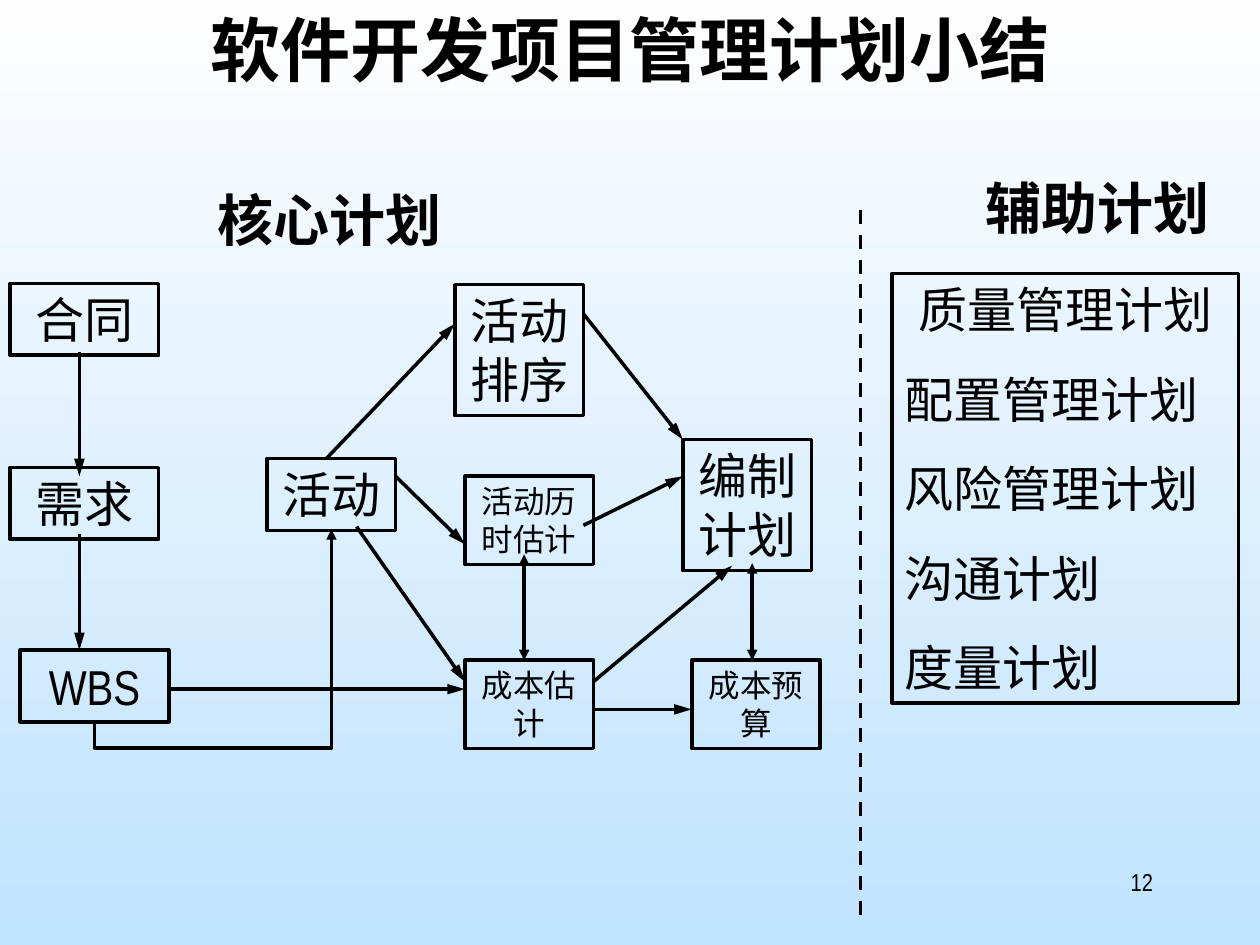
from dataclasses import dataclass

from lxml import etree
from pptx import Presentation
from pptx.dml.color import RGBColor
from pptx.enum.dml import MSO_LINE_DASH_STYLE as DASH
from pptx.enum.shapes import MSO_CONNECTOR as CONN, MSO_SHAPE as SHAPE
from pptx.enum.text import MSO_ANCHOR as ANCHOR, MSO_AUTO_SIZE as AUTO, PP_ALIGN as ALIGN
from pptx.oxml.ns import qn
from pptx.util import Inches, Pt


@dataclass(frozen=True)
class Theme:
    ink: RGBColor = RGBColor(0, 0, 0)
    sky_top: RGBColor = RGBColor(0xFE, 0xFE, 0xFE)
    sky_bottom: RGBColor = RGBColor(0xC0, 0xE3, 0xFE)
    font: str = "Arial Narrow"
    cjk_font: str = "Noto Sans CJK SC"
    title: int = 40
    heading: int = 32
    body: int = 28
    small: int = 18
    number: int = 14
    line: int = 2


T = Theme()

# Flow boxes: text, left, top, width, height, type size
BOXES = [
    ("合同", 0.08, 2.25, 1.18, 0.57, T.body),
    ("需求", 0.08, 3.71, 1.18, 0.57, T.body),
    ("WBS", 0.16, 5.16, 1.18, 0.57, T.body),
    ("活动", 2.12, 3.64, 1.02, 0.57, T.body),
    ("活动排序", 3.61, 2.26, 1.02, 1.04, T.body),
    ("活动历时估计", 3.69, 3.78, 1.02, 0.7, T.small),
    ("编制计划", 5.42, 3.49, 1.02, 1.04, T.body),
    ("成本估计", 3.69, 5.24, 1.02, 0.7, T.small),
    ("成本预算", 5.49, 5.24, 1.02, 0.7, T.small),
]
# Arrows: x and y of the start, x and y of the end
ONE_WAY = [
    (0.63, 2.79, 0.63, 3.78),
    (0.63, 4.24, 0.63, 5.16),
    (2.59, 3.64, 3.61, 2.57),
    (2.83, 4.18, 3.69, 5.41),
    (4.63, 2.49, 5.42, 3.49),
    (4.71, 5.41, 5.81, 4.49),
    (3.14, 3.78, 3.69, 4.32),
    (4.63, 4.17, 5.42, 3.78),
    (4.71, 5.63, 5.49, 5.63),
    (1.34, 5.47, 3.69, 5.47),
]
TWO_WAY = [(5.97, 5.24, 5.97, 4.47), (4.16, 5.24, 4.16, 4.4)]
SUPPORT_PLANS = ["质量管理计划", "配置管理计划", "风险管理计划", "沟通计划", "度量计划"]


def set_attrs(obj, **values):
    for name, value in values.items():
        setattr(obj, name, value)


def place(sp, *at):
    set_attrs(sp, **dict(zip(("left", "top", "width", "height"), map(Inches, at))))


def add_run(p, text, size, bold=False, font=T.font):
    r = p.add_run()
    r.text = text
    set_attrs(r.font, size=Pt(size), bold=bold, name=font)
    r.font.color.rgb = T.ink
    etree.SubElement(r.font._element, qn("a:ea"), typeface=T.font)


def setup_frame(sp, align=ALIGN.CENTER):
    tf = sp.text_frame
    set_attrs(tf, word_wrap=True, auto_size=AUTO.NONE, vertical_anchor=ANCHOR.TOP)
    p = tf.paragraphs[0]
    set_attrs(p, alignment=align, space_before=Pt(0))
    return p


def outline(sp):
    sp.line.color.rgb = T.ink
    sp.line.width = Pt(T.line)


def add_label(s, text, at, size, bold=False, align=ALIGN.CENTER):
    sp = s.shapes.add_textbox(*map(Inches, at))
    add_run(setup_frame(sp, align), text, size, bold)


def add_box(s, text, *at, size):
    sp = s.shapes.add_shape(SHAPE.RECTANGLE, *map(Inches, at))
    sp.shadow.inherit = False
    sp.fill.background()
    outline(sp)
    add_run(setup_frame(sp), text, size)


def add_line(s, ends, kind=CONN.STRAIGHT, heads=(), length="med", dash=None):
    c = s.shapes.add_connector(kind, *map(Inches, ends))
    outline(c)
    if dash:
        c.line.dash_style = dash
    sp_pr = c._element.spPr
    ln = sp_pr.find(qn("a:ln"))
    for head in heads:
        etree.SubElement(ln, qn(f"a:{head}"), type="triangle", w="med", len=length)
    etree.SubElement(sp_pr, qn("a:effectLst"))
    return c


def add_bent_arrow(s):
    # Leaves the WBS box downwards, so the elbow is turned a quarter
    c = add_line(s, (2.45, 5.9, 0.93, 4.02), CONN.ELBOW, ["tailEnd"])
    sp_pr = c._element.spPr
    sp_pr.find(qn("a:xfrm")).set("rot", "5400000")
    geom = sp_pr.find(qn("a:prstGeom"))
    guides = geom.find(qn("a:avLst"))
    if guides is None:
        guides = etree.SubElement(geom, qn("a:avLst"))
    etree.SubElement(guides, qn("a:gd"), name="adj1", fmla="val -14200")


def fill_background(s):
    fill = s.background.fill
    fill.gradient()
    fill.gradient_angle = 270
    for stop, color in zip(fill.gradient_stops, (T.sky_top, T.sky_bottom)):
        stop.color.rgb = color


def fill_title(s):
    sp = s.shapes.title
    place(sp, 0.75, 0, 8.5, 1.25)
    p = setup_frame(sp)
    add_run(p, "软件开发项目管理计划", T.title, True)
    add_run(p, "小结", T.title, True, T.cjk_font)


def fill_plan_list(s):
    sp = s.placeholders[1]
    place(sp, 7.08, 2.17, 2.75, 3.41)
    outline(sp)
    first = setup_frame(sp)
    for i, plan in enumerate(SUPPORT_PLANS):
        p = sp.text_frame.add_paragraph() if i else first
        if i:
            set_attrs(p, alignment=ALIGN.LEFT, space_before=Pt(17.5))
        p_pr = p._p.get_or_add_pPr()
        p_pr.set("marL", "0")
        p_pr.set("indent", "0")
        etree.SubElement(p_pr, qn("a:buNone"))
        add_run(p, plan, T.body)


def main():
    prs = Presentation()
    set_attrs(prs, slide_width=Inches(10), slide_height=Inches(7.5))
    s = prs.slides.add_slide(prs.slide_layouts[1])
    fill_background(s)
    fill_title(s)

    # Two halves and their headings
    add_line(s, (6.83, 1.67, 6.83, 7.33), dash=DASH.DASH)
    add_label(s, "核心计划", (1.33, 1.42, 2.58, 0.64), T.heading, True)
    add_label(s, "辅助计划", (7.42, 1.33, 2.58, 0.64), T.heading, True)

    # Core plan flow
    for text, *at, size in BOXES:
        add_box(s, text, *at, size=size)
    for ends in ONE_WAY:
        add_line(s, ends, heads=["tailEnd"], length="lg")
    for ends in TWO_WAY:
        add_line(s, ends, heads=["headEnd", "tailEnd"])
    add_bent_arrow(s)

    # Supporting plans and page number
    fill_plan_list(s)
    add_label(s, "12", (7.17, 6.83, 2.08, 0.5), T.number, align=ALIGN.RIGHT)
    prs.save("out.pptx")


if __name__ == "__main__":
    main()
